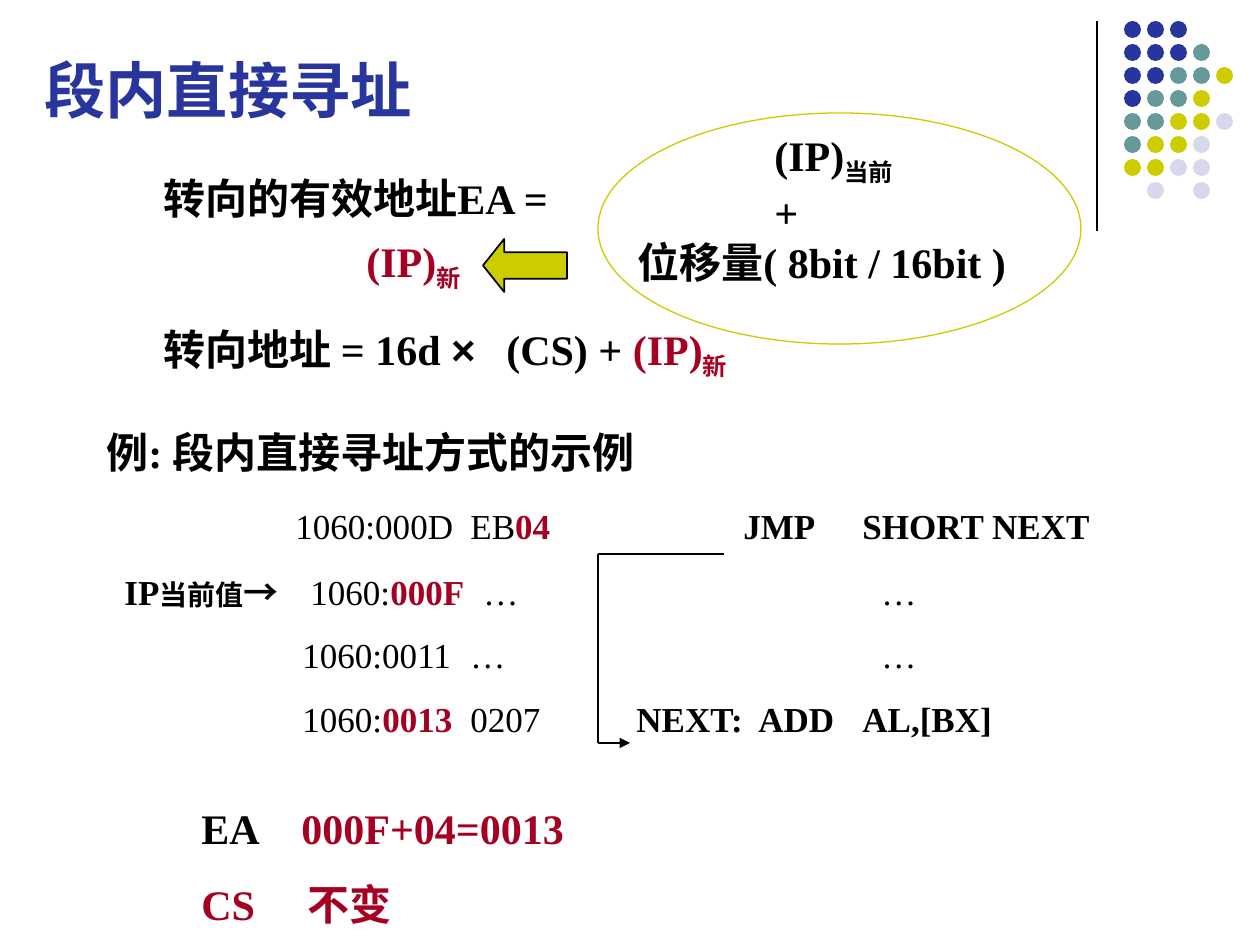
import pptx
import pptx.util
import pptx.dml.color
import pptx.enum.shapes
import pptx.enum.text
from lxml import etree
from pptx.oxml.ns import qn

PX = 914400 // 126
HUES = {"ink": "000000", "red": "A50021", "blue": "27359D",
        "teal": "669999", "lime": "CCCC00", "pale": "D8D8EC"}
SHAPE = pptx.enum.shapes.MSO_SHAPE

# Runs are (text, format); paragraphs are (runs, format)
RED = {"hue": "red"}
SUB = {"hue": "red", "sub": True}
THIN = {"bold": False}
TITLE = [([("段内直接寻址", {})], {})]
RULES = [
    ([("转向的有效地址EA =", {})], {}),
    ([("转向地址 = 16d ", {}), ("×", {"face": "Arial"}), ("\t(CS) + ", {}),
      ("(IP)", RED), ("新", SUB)], {"above": 57.6, "tabs": [343]}),
]
TERMS = [
    ([("(IP)", {}), ("当前", {"sub": True})], {"left": 137}),
    ([("+", {})], {"left": 137}),
    ([("位移量( 8bit / 16bit )", {})], {}),
]
NEWIP = [([("(IP)", RED), ("新", SUB)], {})]
HEAD = ("例: 段内直接寻址方式的示例", {"size": 24})
CODE = [
    ([HEAD], {}),
    ([("\t1060:000D\tEB", THIN), ("04", RED), ("\tJMP\tSHORT NEXT", {})],
     {"above": 16, "tabs": [189, 364, 637, 756]}),
    ([("\tIP", {}), ("当前值", {"size": 16}), ("→", {}), ("\t1060:", THIN),
      ("000F", RED), ("\t…\t…", THIN)],
     {"above": 13.4, "tabs": [18, 204, 377, 775]}),
    ([("\t1060:0011\t…\t…", THIN)],
     {"above": 12.5, "tabs": [196, 364, 775]}),
    ([("\t1060:", THIN), ("0013", RED), ("\t0207", THIN),
      ("\tNEXT:\tADD\tAL,[BX]", {})],
     {"above": 12.5, "tabs": [196, 364, 530, 652, 756]}),
]
SUMS = [
    ([("EA", {}), ("\t000F+04=0013", RED)], {"tabs": [100]}),
    ([("CS\t不变", RED)], {"above": 15, "tabs": [106]}),
]
# One letter per dot: blue, teal, lime, pale
DOTS = ["bbb", "bbbt", "bbttl", "bttl", "ttllp", "tllp", "llpp", " p p"]
KEYS = {"b": "blue", "t": "teal", "l": "lime", "p": "pale"}

deck = pptx.Presentation()
deck.slide_width = 1260 * PX
deck.slide_height = 945 * PX
slide = deck.slides.add_slide(deck.slide_layouts[6])


def tint(hue):
    return pptx.dml.color.RGBColor.from_string(HUES[hue])


def text(paras, x, y, w, h, size=24, face="Times New Roman", hue="ink",
         anchor="TOP"):
    box = slide.shapes.add_textbox(x * PX, y * PX, w * PX, h * PX)
    frame = box.text_frame
    frame.word_wrap = True
    frame.vertical_anchor = getattr(pptx.enum.text.MSO_ANCHOR, anchor)
    for i, (runs, form) in enumerate(paras):
        para = frame.paragraphs[0] if i == 0 else frame.add_paragraph()
        props = para._p.get_or_add_pPr()
        if "left" in form:
            props.set("marL", str(form["left"] * PX))
            props.set("indent", "0")
        if "tabs" in form:
            stops = etree.SubElement(props, qn("a:tabLst"))
            for pos in form["tabs"]:
                etree.SubElement(stops, qn("a:tab"), pos=str(pos * PX),
                                 algn="l")
        para.space_before = pptx.util.Pt(form.get("above", 0))
        for words, look in runs:
            run = para.add_run()
            run.text = words
            font = run.font
            font.size = pptx.util.Pt(look.get("size", size))
            font.name = look.get("face", face)
            font.bold = look.get("bold", True)
            font.color.rgb = tint(look.get("hue", hue))
            if look.get("sub"):
                font._element.set("baseline", "-25000")


def shape(kind, x, y, w, h, fill=None, edge=None, width=1):
    form = slide.shapes.add_shape(kind, x * PX, y * PX, w * PX, h * PX)
    form.shadow.inherit = False
    if fill:
        form.fill.solid()
        form.fill.fore_color.rgb = tint(fill)
    else:
        form.fill.background()
    if edge:
        form.line.color.rgb = tint(edge)
        form.line.width = pptx.util.Pt(width)
    else:
        form.line.fill.background()
    return form


def line(x1, y1, x2, y2, width=1, head=False):
    rule = slide.shapes.add_connector(
        pptx.enum.shapes.MSO_CONNECTOR.STRAIGHT,
        x1 * PX, y1 * PX, x2 * PX, y2 * PX)
    rule.line.color.rgb = tint("ink")
    rule.line.width = pptx.util.Pt(width)
    if head:
        etree.SubElement(rule.line._get_or_add_ln(), qn("a:tailEnd"),
                         type="triangle")
    etree.SubElement(rule._element.spPr, qn("a:effectLst"))


# Corner dots and rule
line(1097, 21, 1097, 231, width=0.75)
for row, marks in enumerate(DOTS):
    for col, mark in enumerate(marks):
        if mark in KEYS:
            shape(SHAPE.OVAL, 1124 + 23 * col, 21 + 23 * row, 17, 17,
                  fill=KEYS[mark])

# Address formula
text(RULES, 151, 166, 960, 226)
text(TERMS, 625, 123, 440, 178)
arrow = shape(SHAPE.LEFT_ARROW, 483, 239, 84, 53, fill="lime", edge="ink")
arrow.adjustments[0] = 0.5
arrow.adjustments[1] = 0.4
text(NEWIP, 354, 229, 150, 71)

# Code example with jump path
text(CODE, 94, 420, 1081, 328, size=20)
BEND, TOP, END = 598, 554, 743
line(724, TOP, BEND, TOP)
line(BEND, TOP, BEND, END)
line(BEND, END, 630, END, head=True)

# Result, ring and title
text(SUMS, 189, 796, 462, 140)
shape(SHAPE.OVAL, 598, 113, 483, 231, edge="lime", width=0.75)
text(TITLE, 32, 35, 1124, 97, size=35, face="Arial", hue="blue",
     anchor="BOTTOM")

deck.save("out.pptx")
